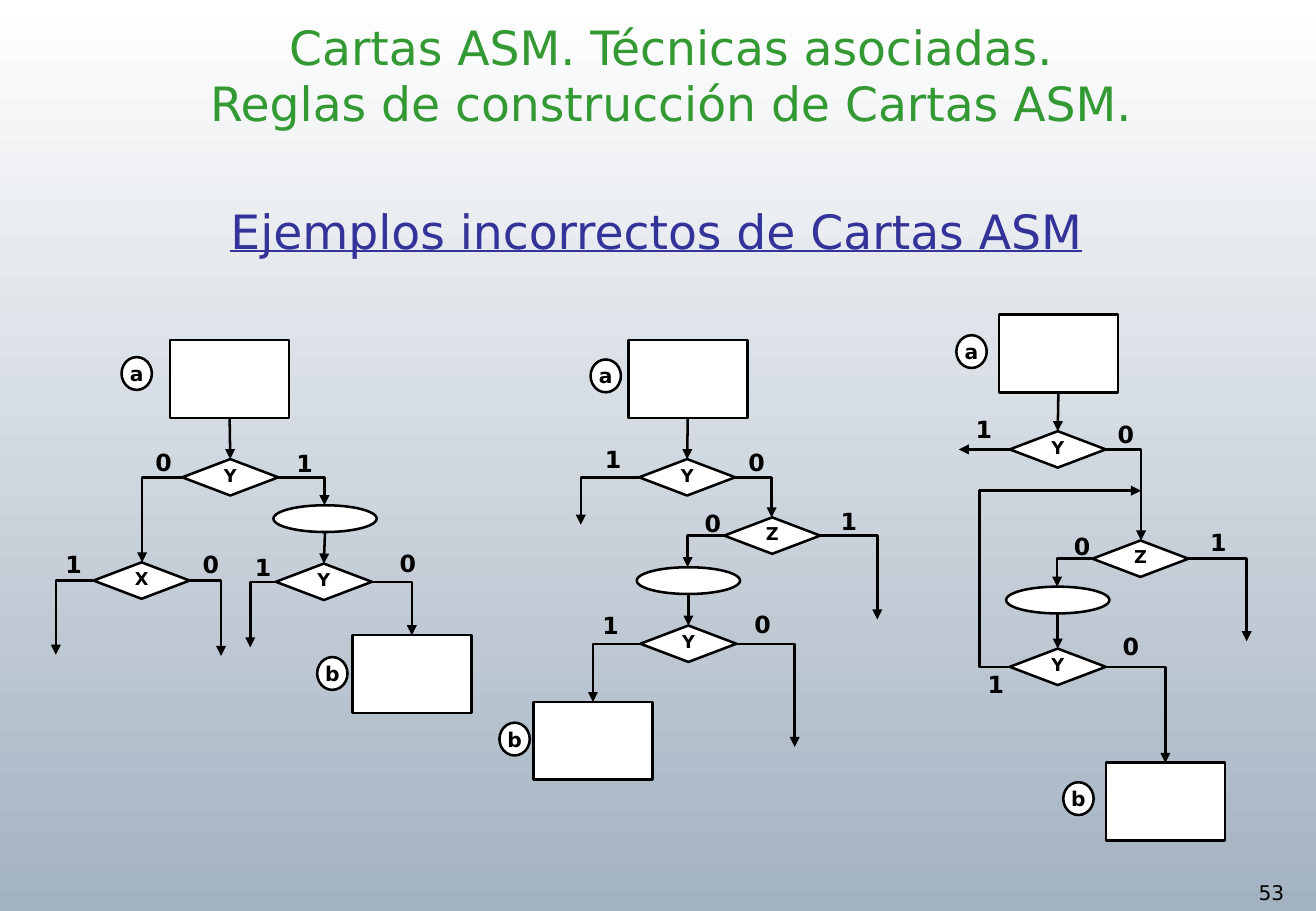
from pptx import Presentation
from pptx.dml.color import RGBColor
from pptx.enum.shapes import MSO_CONNECTOR, MSO_SHAPE
from pptx.enum.text import MSO_ANCHOR, MSO_AUTO_SIZE, PP_ALIGN
from pptx.oxml.ns import qn
from pptx.util import Inches, Pt
from lxml.etree import SubElement

BLACK = RGBColor(0, 0, 0)
WHITE = RGBColor(255, 255, 255)
STEEL = RGBColor(0xA3, 0xB2, 0xC1)
GREEN = RGBColor(0x33, 0x99, 0x33)
INDIGO = RGBColor(0x33, 0x33, 0x99)
FONT = "DejaVu Sans"
TOP, LEFT, BOTTOM, RIGHT = range(4)


class Page:
    def __init__(self, deck):
        self.slide = deck.slides.add_slide(deck.slide_layouts[5])
        self.shapes = self.slide.shapes
        fill = self.slide.background.fill
        fill.gradient()
        fill.gradient_angle = 270
        for stop, color in zip(fill.gradient_stops, (WHITE, STEEL)):
            stop.color.rgb = color

    def fit(self, frame, text, size, color=BLACK, bold=False, align=None):
        frame.text = text
        para = frame.paragraphs[0]
        para.alignment = align
        para.font.name = FONT
        para.font.size = Pt(size)
        para.font.bold = bold
        para.font.color.rgb = color
        return para

    def head(self, shape, text, color):
        frame = shape.text_frame
        frame.word_wrap = True
        frame.auto_size = MSO_AUTO_SIZE.NONE
        frame.vertical_anchor = MSO_ANCHOR.BOTTOM
        return self.fit(frame, text, 28, color, align=PP_ALIGN.CENTER)

    def title(self, text, x, y, w, h):
        shape = self.shapes.title
        shape.left, shape.top = Inches(x), Inches(y)
        shape.width, shape.height = Inches(w), Inches(h)
        self.head(shape, text, INDIGO).font.underline = True

    def banner(self, text, *area):
        self.head(self.shapes.add_textbox(*map(Inches, area)), text, GREEN)

    def label(self, text, x, y, size=14, bold=True, w=0.34, h=0.34):
        box = self.shapes.add_textbox(*map(Inches, (x, y, w, h)))
        box.text_frame.word_wrap = False
        box.text_frame.auto_size = MSO_AUTO_SIZE.SHAPE_TO_FIT_TEXT
        self.fit(box.text_frame, text, size, bold=bold)

    def node(self, kind, x, y, w, h, text="", size=12):
        shape = self.shapes.add_shape(kind, *map(Inches, (x, y, w, h)))
        shape.shadow.inherit = False
        shape.fill.solid()
        shape.fill.fore_color.rgb = WHITE
        shape.line.color.rgb = BLACK
        shape.line.width = Pt(1.5)
        if text:
            frame = shape.text_frame
            frame.margin_left = frame.margin_right = 0
            frame.margin_top = frame.margin_bottom = 0
            frame.vertical_anchor = MSO_ANCHOR.MIDDLE
            frame.word_wrap = True
            self.fit(frame, text, size, bold=True, align=PP_ALIGN.CENTER)
        return shape

    def state(self, x, y):
        return self.node(MSO_SHAPE.RECTANGLE, x, y, 0.98, 0.64)

    def mark(self, text, x, y):
        self.node(MSO_SHAPE.OVAL, x, y, 0.25, 0.27, text)

    def output(self, x, y):
        return self.node(MSO_SHAPE.OVAL, x, y, 0.85, 0.22)

    def choice(self, text, x, y):
        shape = self.node(MSO_SHAPE.FLOWCHART_DECISION, x, y, 0.79, 0.3,
                          text, 10.5)
        shape.text_frame.paragraphs[0].line_spacing = 0.8
        return shape

    def arrow(self, kind, *ends):
        link = self.shapes.add_connector(kind, *ends)
        link.line.color.rgb = BLACK
        link.line.width = Pt(1.5)
        shape = link._element.spPr
        SubElement(shape.find(qn("a:ln")), qn("a:tailEnd"), type="triangle")
        SubElement(shape, qn("a:effectLst"))
        return link

    def drop(self, start, end):
        x = start.left + start.width // 2
        y = start.top + start.height
        link = self.arrow(MSO_CONNECTOR.STRAIGHT, x, y, x, end.top)
        if start.auto_shape_type == MSO_SHAPE.RECTANGLE:
            link.begin_connect(start, BOTTOM)
        link.end_connect(end, TOP)

    def leave(self, start, x):
        y = start.top + start.height // 2
        link = self.arrow(MSO_CONNECTOR.STRAIGHT, start.left, y, Inches(x), y)
        link.begin_connect(start, LEFT)

    def bend(self, start, side, x, y, turn=None):
        edge = start.left + (start.width if side == RIGHT else 0)
        mid = start.top + start.height // 2
        link = self.arrow(MSO_CONNECTOR.ELBOW, edge, mid, Inches(x), Inches(y))
        geom = link._element.spPr.find(qn("a:prstGeom"))
        if turn is None:
            geom.set("prst", "bentConnector2")
        else:
            ratio = (Inches(turn) - edge) / (Inches(x) - edge)
            SubElement(geom.find(qn("a:avLst")), qn("a:gd"), name="adj1",
                       fmla=f"val {round(ratio * 100000)}")


CHARTS = [
    dict(states=[("a", 1.4, 2.8, 1, 2.94), ("b", 2.9, 5.23, 2.61, 5.41)],
         choices=[("Y", 1.5, 3.78), ("X", 0.77, 4.63), ("Y", 2.27, 4.64)],
         output=(2.25, 4.16),
         bends=[(0, LEFT, 1.17, 4.63), (0, RIGHT, 2.67, 4.16),
                (1, LEFT, 0.46, 5.39), (1, RIGHT, 1.82, 5.4),
                (2, LEFT, 2.06, 5.33), (2, RIGHT, 3.39, 5.23)],
         labels=[("0", 1.18, 3.64), ("1", 2.34, 3.65), ("1", 0.44, 4.48),
                 ("0", 1.57, 4.48), ("1", 2, 4.5), ("0", 3.19, 4.47)]),
    dict(states=[("a", 5.17, 2.8, 4.86, 2.96), ("b", 4.39, 5.78, 4.11, 5.95)],
         choices=[("Y", 5.26, 3.78), ("Z", 5.96, 4.26), ("Y", 5.27, 5.15)],
         output=(5.24, 4.67),
         bends=[(0, LEFT, 4.78, 4.32), (0, RIGHT, 6.35, 4.26),
                (1, LEFT, 5.66, 4.67), (1, RIGHT, 7.22, 5.1),
                (2, LEFT, 4.88, 5.78), (2, RIGHT, 6.54, 6.15)],
         labels=[("1", 4.88, 3.61), ("0", 6.06, 3.64), ("0", 5.7, 4.14),
                 ("1", 6.82, 4.12), ("1", 4.86, 4.98), ("0", 6.11, 4.97)]),
    dict(states=[("a", 8.22, 2.59, 7.87, 2.76), ("b", 9.1, 6.28, 8.75, 6.44)],
         choices=[("Y", 8.31, 3.55), ("Z", 8.99, 4.45), ("Y", 8.31, 5.34)],
         output=(8.28, 4.83), leave=7.89,
         bends=[(0, RIGHT, 9.39, 4.45), (1, LEFT, 8.7, 4.83),
                (1, RIGHT, 10.26, 5.28), (2, LEFT, 9.39, 4.04, 8.06),
                (2, RIGHT, 9.59, 6.28)],
         labels=[("1", 7.93, 3.37), ("0", 9.1, 3.41), ("0", 8.74, 4.33),
                 ("1", 9.86, 4.3), ("1", 8.03, 5.47), ("0", 9.14, 5.15)]),
]


def draw(page, chart):
    boxes = []
    for name, x, y, left, top in chart["states"]:
        boxes.append(page.state(x, y))
        page.mark(name, left, top)
    tests = [page.choice(*spot) for spot in chart["choices"]]
    oval = page.output(*chart["output"])
    page.drop(boxes[0], tests[0])
    page.drop(oval, tests[2])
    for test, *route in chart["bends"]:
        page.bend(tests[test], *route)
    if "leave" in chart:
        page.leave(tests[0], chart["leave"])
    for spot in chart["labels"]:
        page.label(*spot)


def main():
    deck = Presentation()
    deck.slide_width, deck.slide_height = Inches(10.83), Inches(7.5)
    page = Page(deck)
    page.title("Ejemplos incorrectos de Cartas ASM", 0.66, 1.45, 9.48, 0.73)
    page.banner("Cartas ASM. Técnicas asociadas.\v"
                "Reglas de construcción de Cartas ASM.",
                0.78, 0.06, 9.48, 1.07)
    for chart in CHARTS:
        draw(page, chart)
    page.label("53", 10.26, 7.2, 12, False, 0.57, 0.3)
    deck.save("out.pptx")


if __name__ == "__main__":
    main()
